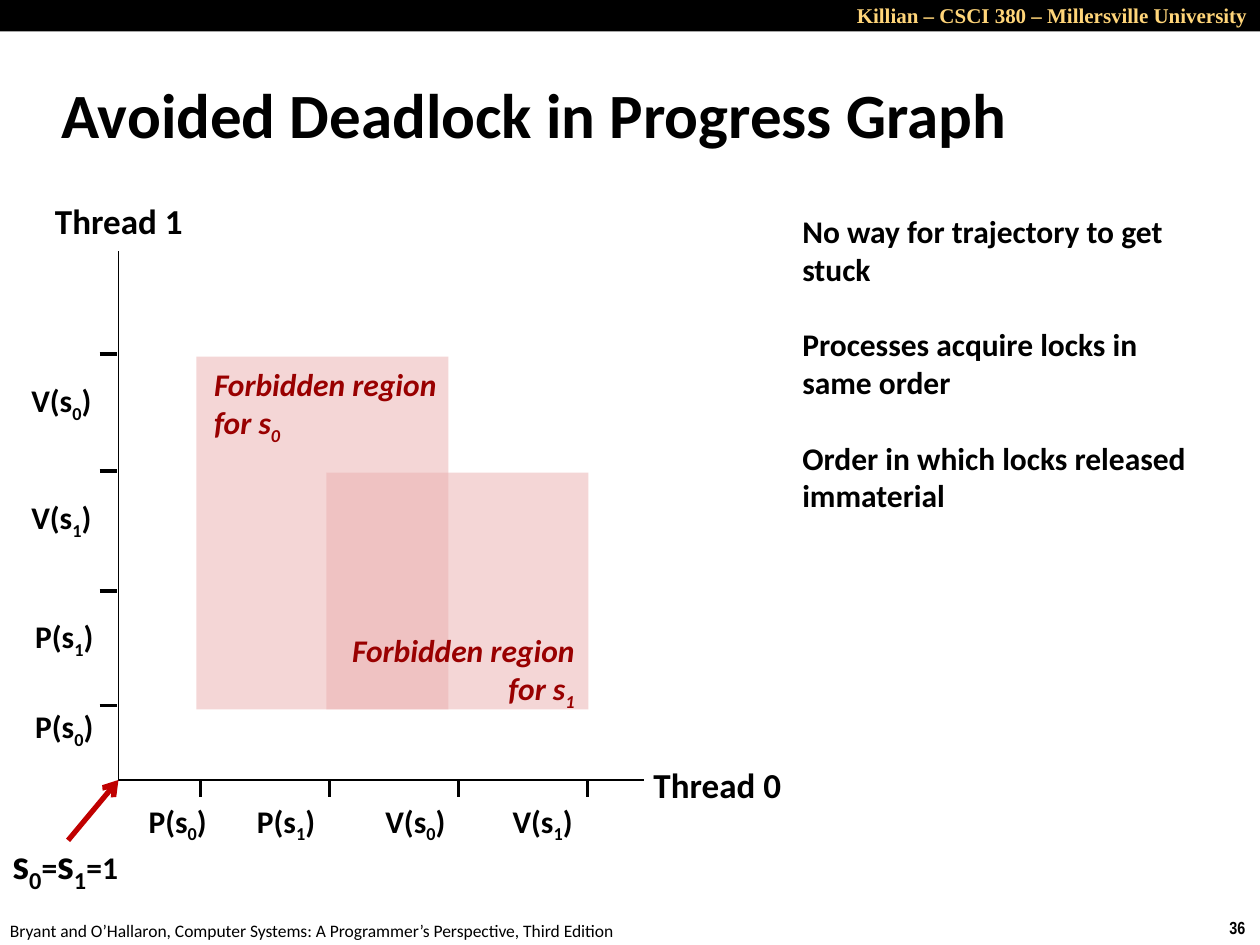
from lxml import etree
from pptx import Presentation
from pptx.dml.color import RGBColor
from pptx.enum.shapes import MSO_CONNECTOR, MSO_SHAPE
from pptx.enum.text import MSO_ANCHOR, PP_ALIGN
from pptx.oxml.ns import qn
from pptx.util import Pt

COLORS = {
    "black": "000000",
    "gold": "FFD579",
    "region": "EBAFAF",
    "region_text": "990000",
    "arrow": "C00000",
}
ORIGIN_X, ORIGIN_Y = 67.7, 445.7
TICK = 10


def rgb(name):
    return RGBColor.from_string(COLORS[name])


def add_text(slide, box, paragraphs, size, color="black", font="Calibri", bold=True,
             italic=False, align=PP_ALIGN.LEFT, anchor=MSO_ANCHOR.TOP, wrap=False,
             inset_y=3.6, gap=0):
    frame = slide.shapes.add_textbox(*map(Pt, box)).text_frame
    frame.word_wrap = wrap
    frame.vertical_anchor = anchor
    frame.margin_top = frame.margin_bottom = Pt(inset_y)
    for index, pieces in enumerate(paragraphs):
        paragraph = frame.add_paragraph() if index else frame.paragraphs[0]
        paragraph.alignment = align
        if index and gap:
            paragraph.space_before = Pt(gap)
        for piece in [pieces] if isinstance(pieces, str) else pieces:
            text, run_size = piece if isinstance(piece, tuple) else (piece, size)
            run = paragraph.add_run()
            run.text = text.lstrip("_")
            run.font.name = font
            run.font.size = Pt(run_size)
            run.font.bold = bold
            run.font.italic = italic
            run.font.color.rgb = rgb(color)
            if text.startswith("_"):
                run._r.get_or_add_rPr().set("baseline", "-25000")


def add_rect(slide, box, color, alpha=None):
    rect = slide.shapes.add_shape(MSO_SHAPE.RECTANGLE, *map(Pt, box))
    rect.shadow.inherit = False
    rect.fill.solid()
    rect.fill.fore_color.rgb = rgb(color)
    rect.line.fill.background()
    if alpha:
        fill = rect._element.spPr.find(qn("a:solidFill"))
        etree.SubElement(fill[0], qn("a:alpha")).set("val", str(alpha * 1000))


def add_line(slide, start, end, width, color="black", arrow=False):
    line = slide.shapes.add_connector(MSO_CONNECTOR.STRAIGHT, *map(Pt, start + end))
    line.line.width = Pt(width)
    line.line.color.rgb = rgb(color)
    if arrow:
        etree.SubElement(line.line._get_or_add_ln(), qn("a:tailEnd")).set("type", "arrow")
    etree.SubElement(line._element.spPr, qn("a:effectLst"))


def add_operation(slide, left, top, operation, lock):
    add_text(slide, (left, top, 49.3, 29), [[operation + "(s", "_" + lock, ")"]], 18,
             anchor=MSO_ANCHOR.MIDDLE)


def add_frame(slide):
    add_text(slide, (695.5, 520.6, 24.5, 19.4), ["36"], 10, font="Arial Narrow")
    add_text(slide, (-1.4, 522, 365.8, 19.4),
             ["Bryant and O’Hallaron, Computer Systems: A Programmer’s Perspective, Third Edition"],
             10, bold=False)
    add_rect(slide, (0, 0, 720, 18), "black")
    add_text(slide, (324, -2, 396, 21.8), ["Killian – CSCI 380 – Millersville University"],
             12, "gold", "Times New Roman", align=PP_ALIGN.RIGHT, wrap=True)
    add_text(slide, (28, 34.6, 597.6, 59.8), ["Avoided Deadlock in Progress Graph"], 36,
             anchor=MSO_ANCHOR.MIDDLE, wrap=True)


def add_axes(slide):
    add_line(slide, (ORIGIN_X, ORIGIN_Y), (368, ORIGIN_Y), 1)
    add_line(slide, (ORIGIN_X, ORIGIN_Y), (ORIGIN_X, 143.3), 1)
    for name, left, top in (("Thread 0", 365.8, 432.7), ("Thread 1", 23.8, 110.2)):
        add_text(slide, (left, top, 88.2, 31.7), [name], 20, align=PP_ALIGN.CENTER,
                 anchor=MSO_ANCHOR.MIDDLE)

    across = [("P", "0", 77.8), ("P", "1", 139.7), ("V", "0", 213.1), ("V", "1", 285.8)]
    for index, (operation, lock, left) in enumerate(across):
        x = 114.5 + 73.7 * index
        add_line(slide, (x, ORIGIN_Y), (x, ORIGIN_Y + TICK), 2)
        add_operation(slide, left, 455.8, operation, lock)

    upward = [("V", "0", 202.3, 215.3), ("V", "1", 269.3, 282.2),
              ("P", "1", 337.7, 350.6), ("P", "0", 403.2, 401.8)]
    for operation, lock, y, top in upward:
        add_line(slide, (ORIGIN_X - TICK - 0.8, y), (ORIGIN_X - 0.8, y), 2)
        add_operation(slide, 10.8 if operation == "V" else 13, top, operation, lock)


def add_regions(slide):
    regions = [
        ("0", (112.3, 203.8, 144, 201.6), (115.2, 205.2, 148, 51.1), PP_ALIGN.LEFT),
        ("1", (186.5, 270, 149.8, 135.4), (187.9, 357.1, 147.6, 51.1), PP_ALIGN.RIGHT),
    ]
    for _, area, _, _ in regions:
        add_rect(slide, area, "region", alpha=50)
    for lock, _, label, align in regions:
        add_text(slide, label, ["Forbidden region", ["for s", "_" + lock]], 18,
                 "region_text", italic=True, align=align)


def add_initial_state(slide):
    add_text(slide, (0, 480.2, 77.8, 29),
             [["s", "_0", ("=", 18), "s", "_1", ("=1", 18)]], 24,
             anchor=MSO_ANCHOR.MIDDLE, inset_y=0)
    add_line(slide, (38.9, 480.2), (ORIGIN_X, ORIGIN_Y), 3, "arrow", arrow=True)


def main():
    prs = Presentation()
    prs.slide_width, prs.slide_height = Pt(720), Pt(540)
    slide = prs.slides.add_slide(prs.slide_layouts[6])
    add_frame(slide)
    add_axes(slide)
    add_regions(slide)
    add_initial_state(slide)
    add_text(slide, (451.4, 121, 244.8, 172.8),
             ["No way for trajectory to get stuck",
              "Processes acquire locks in same order",
              "Order in which locks released immaterial"],
             18, wrap=True, inset_y=0, gap=21.6)
    prs.save("out.pptx")


main()
